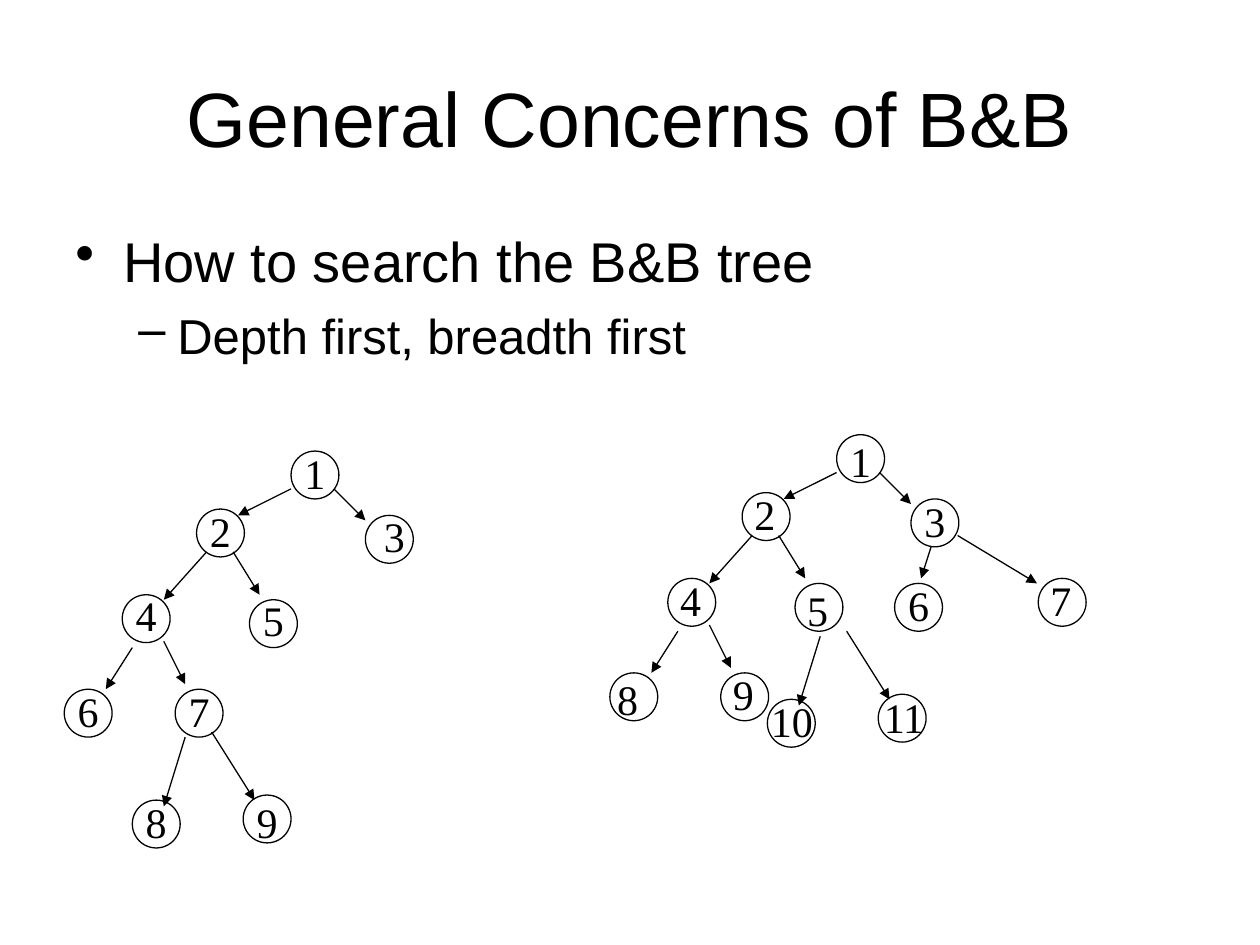
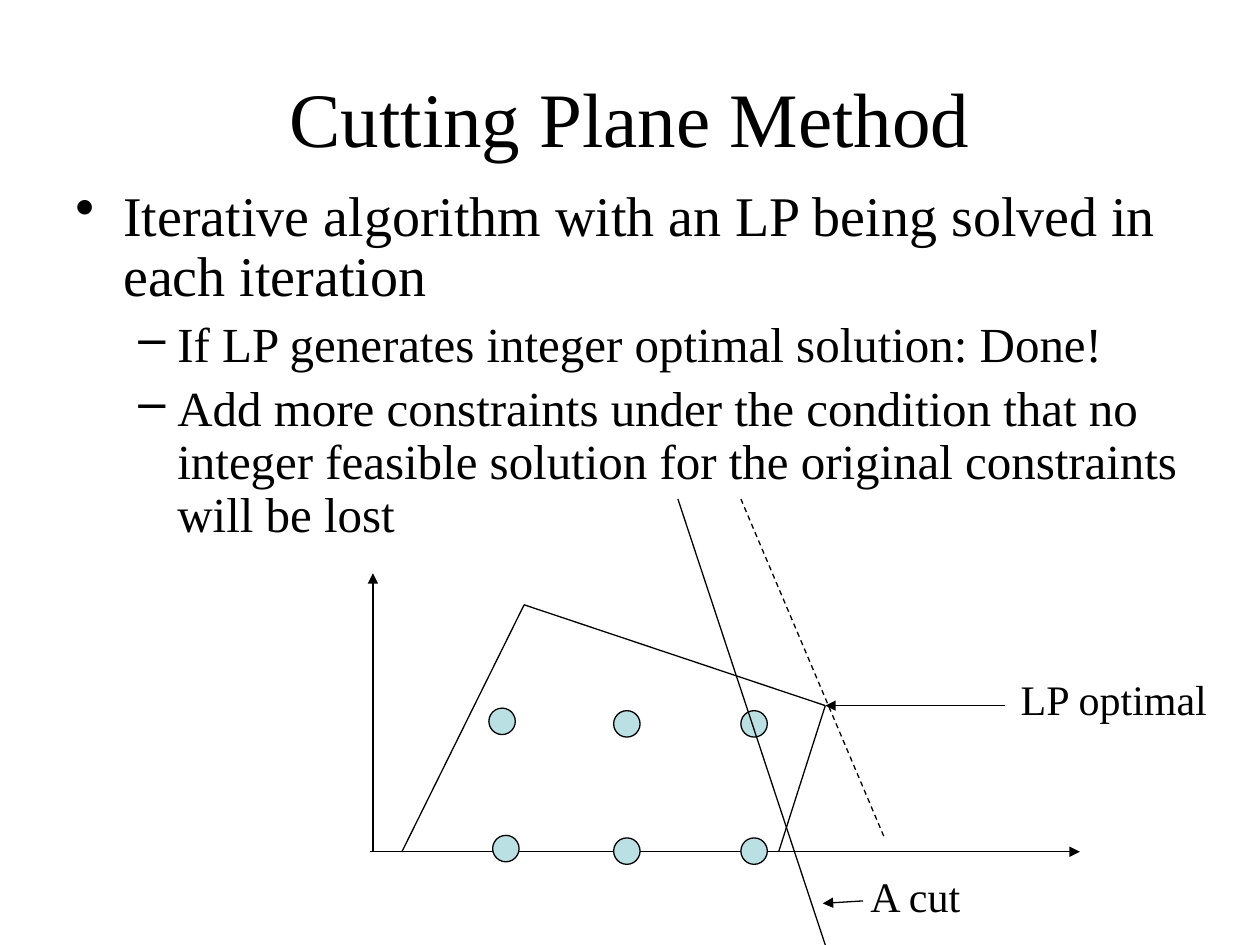
import itertools

import lxml.etree
import pptx
import pptx.dml.color
import pptx.enum.dml
import pptx.enum.shapes
import pptx.enum.text
import pptx.oxml.ns
import pptx.util

PX = 9144  # 100 px to the inch
COLORS = {"ink": "000000", "dot": "BBE0E3"}
SANS, SERIF = "Arial", "Times New Roman"
TITLE_SIZE, LABEL_SIZE = 44, 24
LINE_WIDTH = 0.75
NODE, DOT = 38, 21
LABEL_HEIGHT = 50
TITLE_AREA = (50, 30, 900, 125)

# One entry per outline level: bullet, text size, left margin, hanging indent
LEVELS = [("•", 32, 38, 38), ("–", 28, 81, 31)]

SEARCH = {
    "title": "General Concerns of B&B",
    "font": SANS,
    "area": (50, 175, 900, 133),
    "spacing": 1.0,
    "outline": [(0, "How to search the B&B tree"), (1, "Depth first, breadth first")],
}
CUTTING = {
    "title": "Cutting Plane Method",
    "font": SERIF,
    "area": (50, 144, 900, 311),
    "spacing": 0.9,
    "outline": [
        (0, "Iterative algorithm with an LP being solved in each iteration"),
        (1, "If LP generates integer optimal solution: Done!"),
        (1, "Add more constraints under the condition that no integer feasible "
            "solution for the original constraints will be lost"),
    ],
}

# Tree parts: node corners, then arrows as (x1, y1, x2, y2)
TRUNK = (
    [(231, 358), (156, 404), (290, 409), (97, 472), (198, 476), (51, 547), (139, 547)],
    [(231, 388, 189, 409), (265, 388, 290, 413), (164, 438, 130, 476),
     (185, 438, 206, 472), (105, 514, 84, 547), (130, 509, 147, 543)],
)
LOW_FORK = (
    [(105, 635), (193, 631)],
    [(147, 585, 130, 640), (168, 581, 202, 635)],
)
RIGHT_FORK = (
    [(710, 463), (824, 459)],
    [(739, 434, 731, 459), (760, 425, 823, 463)],
)
# Each part with its shift across and down
TREE_PARTS = [
    (TRUNK, 0, 0), (LOW_FORK, 0, 0),
    (TRUNK, 433, -13), (LOW_FORK, 504, -80), (RIGHT_FORK, 0, 0),
]
# Label corners, numbered from 1 in search order
DEPTH_LABELS = [(231, 350), (156, 396), (294, 400), (97, 463), (198, 467),
                (51, 539), (139, 539), (105, 627), (193, 627)]
BREADTH_LABELS = [(664, 341), (588, 383), (723, 388), (529, 451), (630, 459), (710, 455),
                  (823, 451), (479, 530), (571, 526), (601, 547), (688, 544)]
LABEL_WIDTHS = {10: 55, 11: 59}

AXES = [(294, 676, 857, 676), (296, 676, 296, 455)]
REGION = [(319, 676), (416, 480), (655, 560), (618, 676)]
DOTS = [(388, 562), (487, 564), (588, 564), (391, 663), (487, 665), (588, 665)]
OBJECTIVE = (588, 396, 702, 665)
CUT = (538, 396, 655, 750)
POINTERS = [(798, 560, 655, 560), (685, 715, 653, 717)]
CALLOUTS = [("LP optimal", 798, 530, 172), ("A cut", 655, 686, 143)]


def rgb(name):
    return pptx.dml.color.RGBColor.from_string(COLORS[name])


def emu(*lengths):
    return [length * PX for length in lengths]


def add_child(parent, tag, **attributes):
    return lxml.etree.SubElement(parent, pptx.oxml.ns.qn(tag), attributes)


def style_line(line):
    line.color.rgb = rgb("ink")
    line.width = pptx.util.Pt(LINE_WIDTH)


def style_runs(para, font, size):
    for span in para.runs:
        span.font.name = font
        span.font.size = pptx.util.Pt(size)
        span.font.color.rgb = rgb("ink")


def add_text(page, area, text, font, size):
    """Add a wrapping box with one centred paragraph."""
    box = page.shapes.add_textbox(*emu(*area))
    box.text_frame.word_wrap = True
    box.text_frame.text = text
    para = box.text_frame.paragraphs[0]
    para.alignment = pptx.enum.text.PP_ALIGN.CENTER
    style_runs(para, font, size)
    return box


def add_outline(page, content):
    frame = page.shapes.add_textbox(*emu(*content["area"])).text_frame
    frame.word_wrap = True
    for index, (level, text) in enumerate(content["outline"]):
        para = frame.add_paragraph() if index else frame.paragraphs[0]
        bullet, size, margin, hanging = LEVELS[level]
        para.text = text
        para.level = level
        para.line_spacing = content["spacing"]
        if index:
            para.space_before = pptx.util.Pt(6.5)
        style_runs(para, content["font"], size)
        properties = para._p.get_or_add_pPr()
        properties.set("marL", str(margin * PX))
        properties.set("indent", str(-hanging * PX))
        add_child(properties, "a:buChar", char=bullet)


def add_page(deck, content):
    """Add a page with its title and outline."""
    page = deck.slides.add_slide(deck.slide_layouts[6])
    title = add_text(page, TITLE_AREA, content["title"], content["font"], TITLE_SIZE)
    title.text_frame.vertical_anchor = pptx.enum.text.MSO_ANCHOR.MIDDLE
    add_outline(page, content)
    return page


def add_circle(page, left, top, size, fill=None):
    circle = page.shapes.add_shape(
        pptx.enum.shapes.MSO_SHAPE.OVAL, *emu(left, top, size, size))
    circle.shadow.inherit = False
    style_line(circle.line)
    if fill:
        circle.fill.solid()
        circle.fill.fore_color.rgb = rgb(fill)
    else:
        circle.fill.background()


def add_line(page, ends, arrow=False, dashed=False):
    connector = page.shapes.add_connector(
        pptx.enum.shapes.MSO_CONNECTOR.STRAIGHT, *emu(*ends))
    style_line(connector.line)
    if dashed:
        connector.line.dash_style = pptx.enum.dml.MSO_LINE.DASH
    if arrow:
        add_child(connector.line._get_or_add_ln(), "a:tailEnd", type="triangle")
    add_child(connector._element.spPr, "a:effectLst")


def add_label(page, text, left, top, width):
    add_text(page, (left, top, width, LABEL_HEIGHT), text, SERIF, LABEL_SIZE)


def draw_trees(page):
    for (nodes, arrows), across, down in TREE_PARTS:
        for left, top in nodes:
            add_circle(page, left + across, top + down, NODE)
        for x1, y1, x2, y2 in arrows:
            add_line(page, (x1 + across, y1 + down, x2 + across, y2 + down), arrow=True)
    for labels in (DEPTH_LABELS, BREADTH_LABELS):
        for number, (left, top) in enumerate(labels, start=1):
            add_label(page, str(number), left, top, LABEL_WIDTHS.get(number, NODE))


def draw_cutting_plane(page):
    for axis in AXES:
        add_line(page, axis, arrow=True)
    for start, end in itertools.pairwise(REGION):
        add_line(page, start + end)
    for left, top in DOTS:
        add_circle(page, left, top, DOT, "dot")
    add_line(page, OBJECTIVE, dashed=True)
    add_line(page, CUT)
    for pointer in POINTERS:
        add_line(page, pointer, arrow=True)
    for callout in CALLOUTS:
        add_label(page, *callout)


def main():
    deck = pptx.Presentation()
    deck.slide_width, deck.slide_height = emu(1000, 750)
    draw_trees(add_page(deck, SEARCH))
    draw_cutting_plane(add_page(deck, CUTTING))
    deck.save("out.pptx")


if __name__ == "__main__":
    main()
